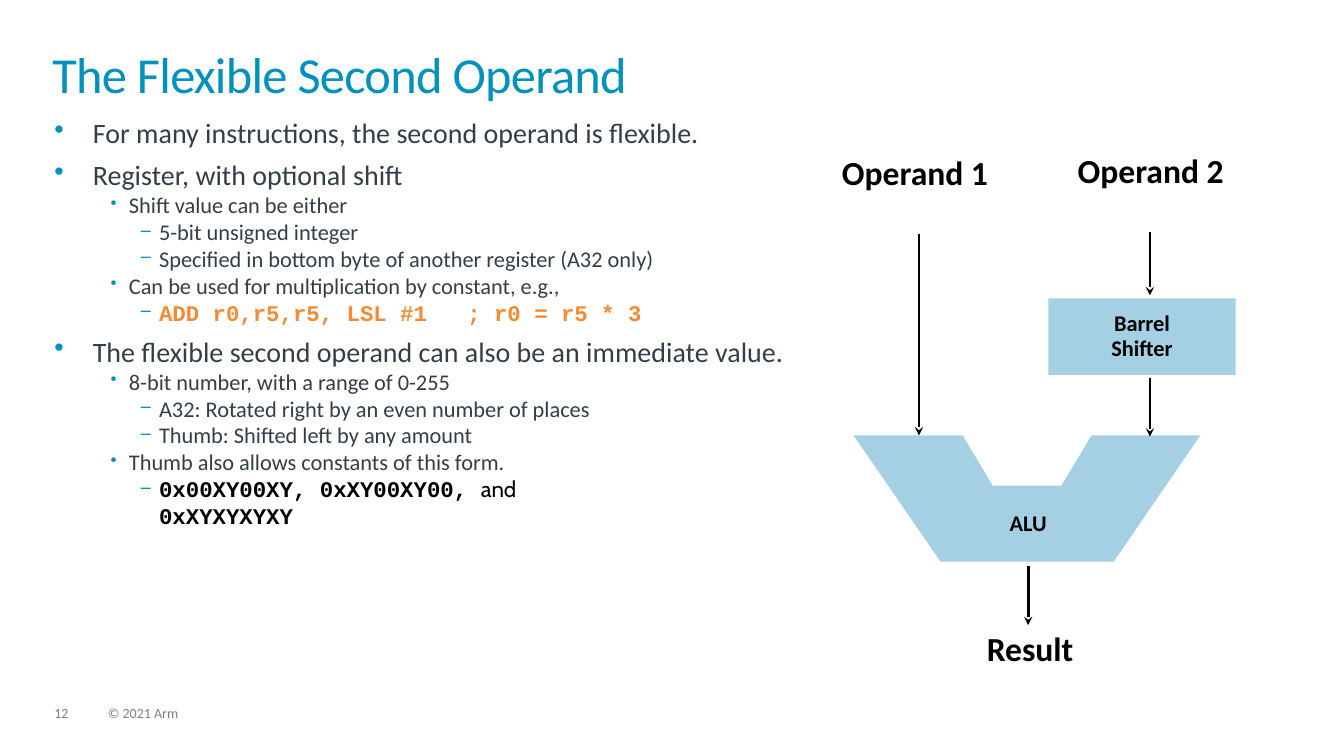
"""Build the slide on the flexible second operand."""
from typing import NamedTuple

from lxml import etree
from pptx import Presentation
from pptx import util as u
from pptx.dml.color import RGBColor
from pptx.enum import shapes, text
from pptx.oxml import ns

TEAL = RGBColor(0x00, 0x91, 0xBD)
SLATE = RGBColor(0x33, 0x3E, 0x48)
ORANGE = RGBColor(0xF6, 0x8A, 0x33)
GRAY = RGBColor(0x7F, 0x7F, 0x7F)
BLACK = RGBColor(0, 0, 0)
PALE_BLUE = RGBColor(0xA5, 0xD0, 0xE3)


class Box(NamedTuple):
    left: float
    top: float
    width: float
    height: float

    def lengths(self) -> list:
        return [u.Cm(value) for value in self]


class Run(NamedTuple):
    text: str
    color: RGBColor = SLATE
    font: str = "Calibri"
    bold: bool = False


class Level(NamedTuple):
    size: int
    margin: float
    hanging: float
    bullet: str
    bullet_percent: int
    space_before: int


class Item(NamedTuple):
    level: int
    runs: list


class Label(NamedTuple):
    text: str
    box: Box
    size: int


class Arrow(NamedTuple):
    x: float
    top: float
    bottom: float


LEVELS = [
    Level(20, 0.97, 0.97, "•", 100, 6),
    Level(16, 1.88, 0.46, "•", 80, 0),
    Level(16, 2.64, 0.46, "–", 80, 0),
]
ITEMS = [
    Item(0, [Run("For many instructions, the second operand is flexible.")]),
    Item(0, [Run("Register, with optional shift")]),
    Item(1, [Run("Shift value can be either")]),
    Item(2, [Run("5-bit unsigned integer")]),
    Item(2, [Run("Specified in bottom byte of another register (A32 only)")]),
    Item(1, [Run("Can be used for multiplication by constant, e.g.,")]),
    Item(2, [Run("ADD r0,r5,r5, LSL #1   ; r0 = r5 * 3", ORANGE, "Courier New", True)]),
    Item(0, [Run("The flexible second operand can also be an immediate value.")]),
    Item(1, [Run("8-bit number, with a range of 0-255")]),
    Item(2, [Run("A32: Rotated right by an even number of places")]),
    Item(2, [Run("Thumb: Shifted left by any amount")]),
    Item(1, [Run("Thumb also allows constants of this form.")]),
    Item(2, [Run("0x00XY00XY, 0xXY00XY00, ", BLACK, "Courier New", True),
             Run("and\n", BLACK, "Cabin"),
             Run("0xXYXYXYXY", BLACK, "Courier New", True)]),
]
LABELS = [
    Label("Operand 1", Box(20.37, 3.81, 5.38, 1.19), 24),
    Label("Operand 2", Box(26.31, 3.76, 5.38, 1.19), 24),
    Label("Result", Box(23.27, 15.8, 5.38, 1.19), 24),
    Label("ALU", Box(24.31, 12.78, 3.2, 0.86), 16),
]
ARROWS = [
    Arrow(23.16, 5.89, 10.97),
    Arrow(28.98, 5.84, 7.44),
    Arrow(28.98, 9.53, 11),
    Arrow(25.91, 14.27, 15.75),
]
BARREL_SHIFTER = Box(26.42, 7.52, 4.72, 1.93)
ALU_OUTLINE = [
    (21.51, 10.97), (24.26, 10.97), (25.02, 12.24), (26.75, 12.24),
    (27.51, 10.97), (30.25, 10.97), (28.07, 14.15), (23.7, 14.15),
]


def add_runs(paragraph, runs: list, size: int, spacing: int = 0) -> None:
    for part in runs:
        for index, line in enumerate(part.text.split("\n")):
            if index:
                paragraph.add_line_break()
            if not line:
                continue
            run = paragraph.add_run()
            run.text = line
            run.font.size = u.Pt(size)
            run.font.name = part.font
            run.font.bold = part.bold
            run.font.color.rgb = part.color
            if spacing:
                run.font._element.set("spc", str(spacing))


def prepare_frame(shape, inset: tuple = (0, 0), anchor=text.MSO_ANCHOR.TOP):
    frame = shape.text_frame
    frame.word_wrap = True
    frame.vertical_anchor = anchor
    frame.margin_left = frame.margin_right = u.Cm(inset[0])
    frame.margin_top = frame.margin_bottom = u.Cm(inset[1])
    return frame


def write(shape, content: str, *, size: int, color: RGBColor = BLACK, bold: bool = False,
          align=text.PP_ALIGN.LEFT, line_spacing: float = 0.9, spacing: int = 0,
          inset: tuple = (0, 0), anchor=text.MSO_ANCHOR.TOP) -> None:
    paragraph = prepare_frame(shape, inset, anchor).paragraphs[0]
    paragraph.alignment = align
    paragraph.line_spacing = line_spacing
    add_runs(paragraph, [Run(content, color, bold=bold)], size, spacing)


def add_text(slide, box: Box, content: str, **style) -> None:
    write(slide.shapes.add_textbox(*box.lengths()), content, **style)


def set_bullet(paragraph, level: Level) -> None:
    properties = paragraph._p.get_or_add_pPr()
    properties.set("marL", str(u.Cm(level.margin)))
    properties.set("indent", str(-u.Cm(level.hanging)))
    color = etree.SubElement(properties, ns.qn("a:buClr"))
    etree.SubElement(color, ns.qn("a:srgbClr"), val=str(TEAL))
    etree.SubElement(properties, ns.qn("a:buSzPct"), val=str(level.bullet_percent * 1000))
    etree.SubElement(properties, ns.qn("a:buChar"), char=level.bullet)


def add_list(slide, box: Box, items: list) -> None:
    frame = prepare_frame(slide.shapes.add_textbox(*box.lengths()))
    for index, item in enumerate(items):
        paragraph = frame.add_paragraph() if index else frame.paragraphs[0]
        level = LEVELS[item.level]
        paragraph.level = item.level
        set_bullet(paragraph, level)
        paragraph.space_before = u.Pt(level.space_before if index else 0)
        add_runs(paragraph, item.runs, level.size)


def paint(shape) -> None:
    shape.shadow.inherit = False
    shape.fill.solid()
    shape.fill.fore_color.rgb = PALE_BLUE
    shape.line.fill.background()


def add_arrow(slide, arrow: Arrow) -> None:
    x = u.Cm(arrow.x)
    connector = slide.shapes.add_connector(
        shapes.MSO_CONNECTOR.STRAIGHT, x, u.Cm(arrow.top), x, u.Cm(arrow.bottom))
    connector.line.color.rgb = BLACK
    connector.line.width = u.Pt(2)
    etree.SubElement(connector.line._get_or_add_ln(), ns.qn("a:tailEnd"), type="stealth")
    etree.SubElement(connector._element.spPr, ns.qn("a:effectLst"))


def add_alu(slide) -> None:
    points = [(u.Cm(x), u.Cm(y)) for x, y in ALU_OUTLINE]
    builder = slide.shapes.build_freeform(*points[0])
    builder.add_line_segments(points[1:], close=True)
    paint(builder.convert_to_shape())


def main() -> None:
    presentation = Presentation()
    presentation.slide_width = u.Cm(33.87)
    presentation.slide_height = u.Cm(19.05)
    slide = presentation.slides.add_slide(presentation.slide_layouts[6])

    add_text(slide, Box(1.37, 17.81, 0.86, 0.38), "12", size=10, color=GRAY)
    add_text(slide, Box(2.72, 17.81, 12.88, 0.38), "© 2021 Arm", size=10, color=GRAY)
    add_text(slide, Box(1.32, 1.32, 31.19, 1.83), "The Flexible Second Operand",
             size=36, color=TEAL, line_spacing=0.85, spacing=-50)
    add_list(slide, Box(1.37, 2.92, 31.06, 11.35), ITEMS)

    add_alu(slide)
    shifter = slide.shapes.add_shape(shapes.MSO_SHAPE.RECTANGLE, *BARREL_SHIFTER.lengths())
    paint(shifter)
    diagram_style = dict(bold=True, align=text.PP_ALIGN.CENTER, inset=(0.25, 0.13))
    write(shifter, "Barrel\nShifter", size=16, anchor=text.MSO_ANCHOR.MIDDLE, **diagram_style)
    for arrow in ARROWS:
        add_arrow(slide, arrow)
    for label in LABELS:
        add_text(slide, label.box, label.text, size=label.size, **diagram_style)

    presentation.save("out.pptx")


if __name__ == "__main__":
    main()
